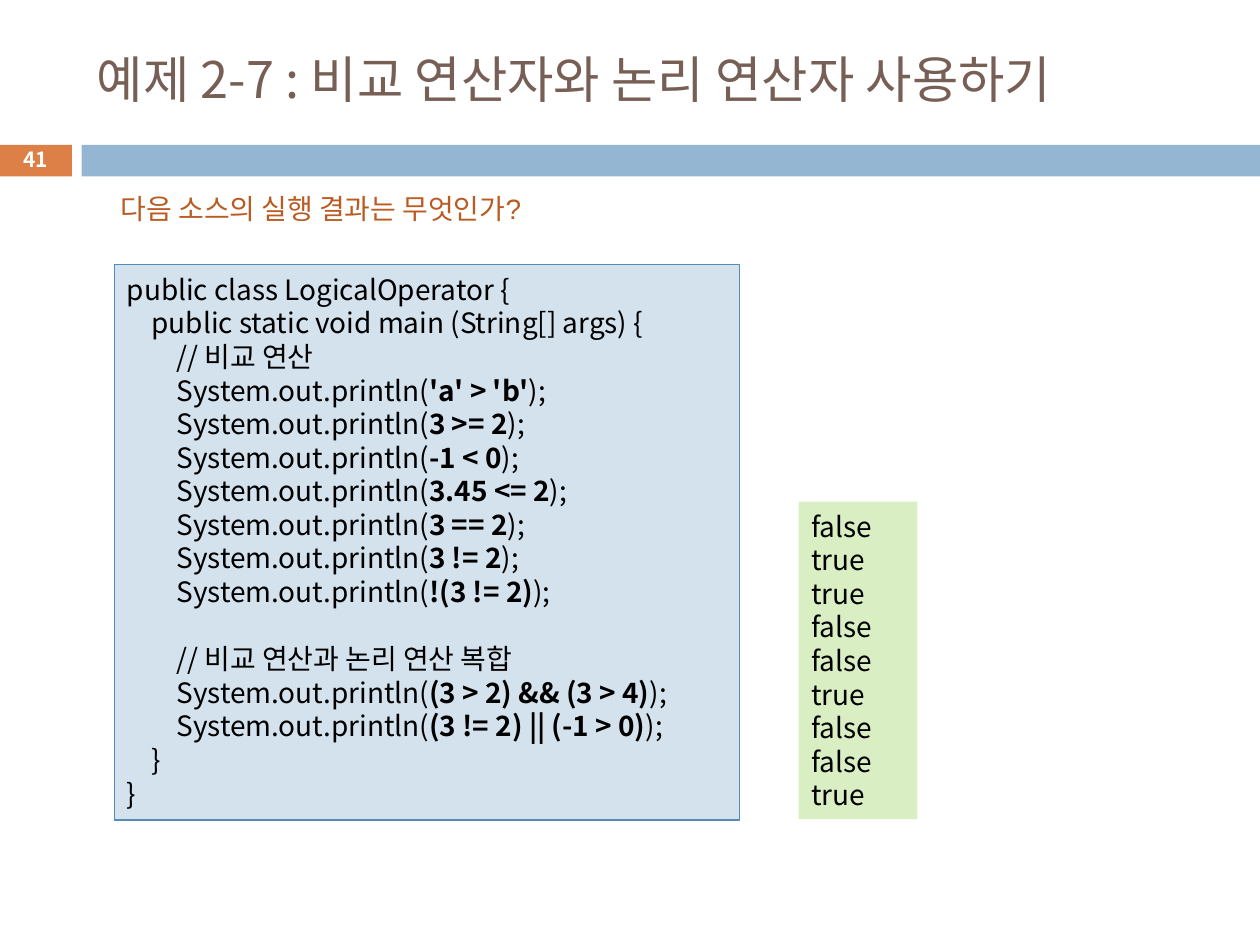
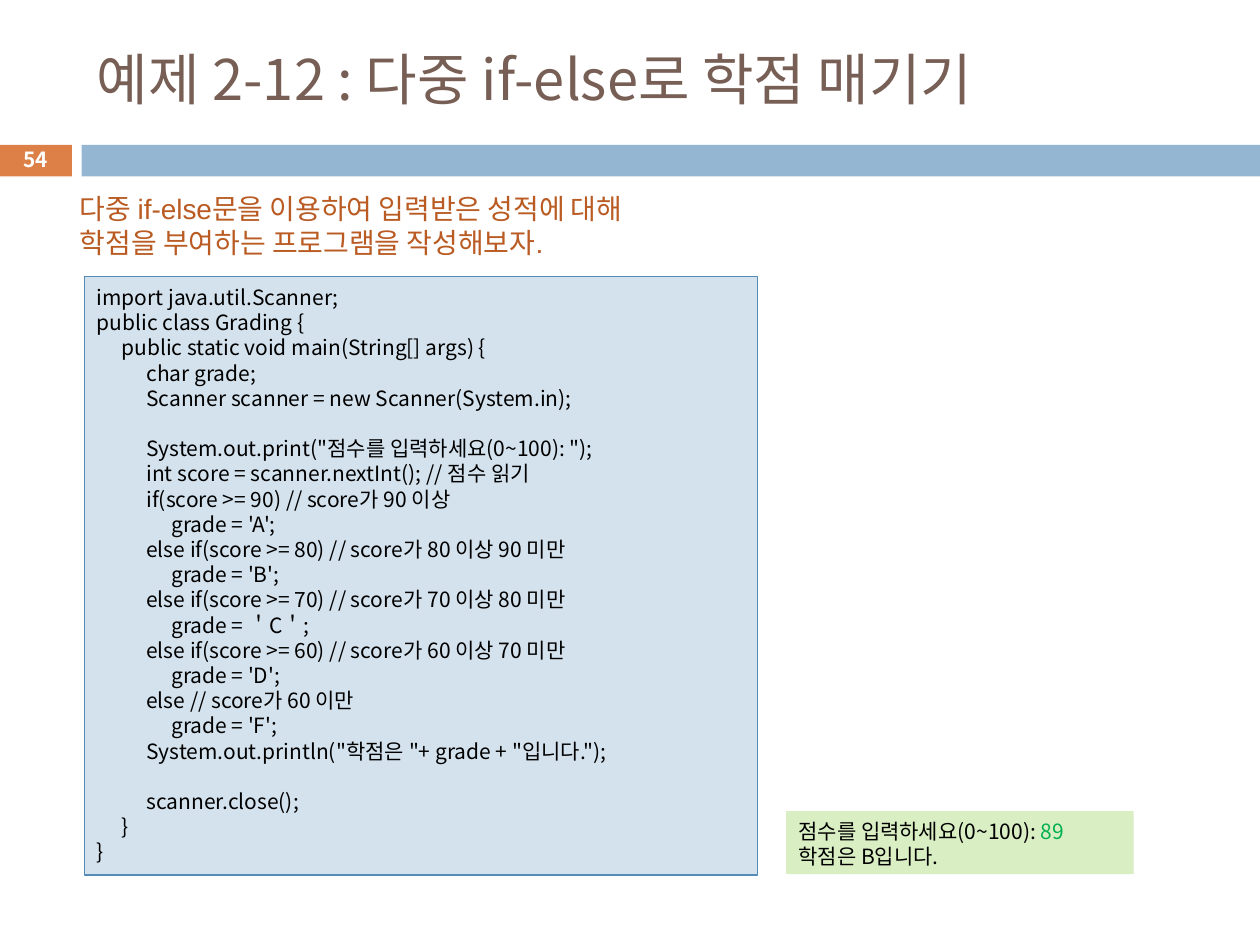
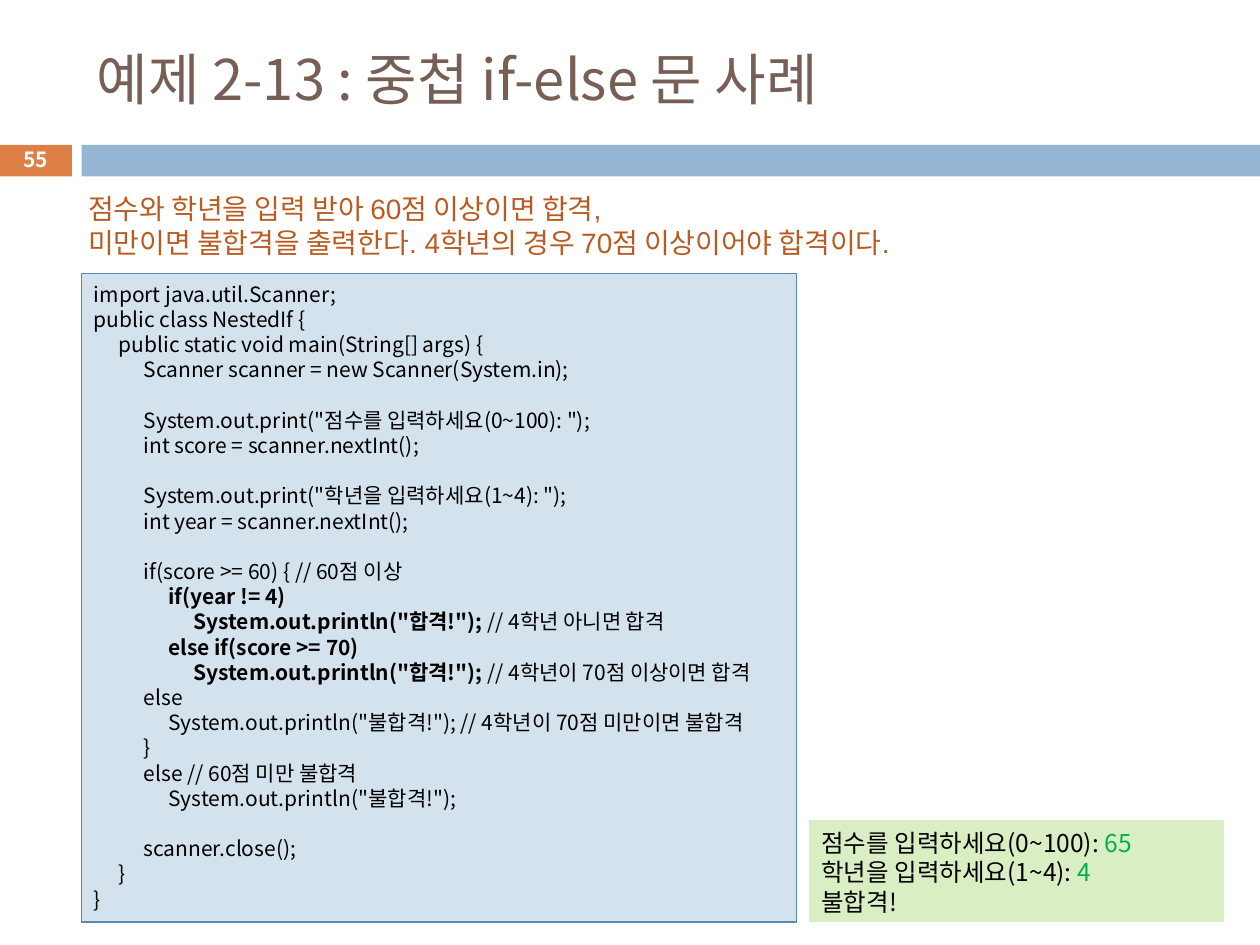
from dataclasses import dataclass

from lxml import etree
from pptx import Presentation
from pptx.dml.color import RGBColor
from pptx.enum import shapes, text
from pptx.oxml import ns
from pptx.util import Pt


@dataclass(frozen=True)
class Theme:
    sans: str = "Noto Sans CJK KR"
    prompt_font: str = "Arial"
    title: str = "775F55"
    prompt: str = "B95B22"
    ink: str = "000000"
    white: str = "FFFFFF"
    typed: str = "00B050"
    number_band: str = "DD8047"
    band: str = "94B6D2"
    code_fill: str = "D4E2ED"
    code_line: str = "558BB8"
    output_fill: str = "DAEEC4"
    prompt_size: float = 16
    number_size: float = 11.9
    line_factor: float = 1.2
    tab_step: float = 14.2


THEME = Theme()

# Code listings: four spaces per level, backquotes around emphasised parts
LOGICAL_CODE = """\
public class LogicalOperator {
    public static void main (String[] args) {
        // 비교 연산
        System.out.println(`'a' > 'b'`);
        System.out.println(`3 >= 2`);
        System.out.println(`-1 < 0`);
        System.out.println(`3.45 <= 2`);
        System.out.println(`3 == 2`);
        System.out.println(`3 != 2`);
        System.out.println(`!(3 != 2)`);

        // 비교 연산과 논리 연산 복합
        System.out.println(`(3 > 2) && (3 > 4)`);
        System.out.println(`(3 != 2) || (-1 > 0)`);
    }
}"""

GRADING_CODE = """\
import java.util.Scanner;
public class Grading {
    public static void main(String[] args) {
        char grade;
        Scanner scanner = new Scanner(System.in);

        System.out.print("점수를 입력하세요(0~100): ");
        int score = scanner.nextInt(); // 점수 읽기
        if(score >= 90) // score가 90 이상
            grade = 'A';
        else if(score >= 80) // score가 80 이상 90 미만
            grade = 'B';
        else if(score >= 70) // score가 70 이상 80 미만
            grade = ＇C＇;
        else if(score >= 60) // score가 60 이상 70 미만
            grade = 'D';
        else // score가 60 이만
            grade = 'F';
        System.out.println("학점은 "+ grade + "입니다.");

        scanner.close();
    }
}"""

NESTED_CODE = """\
import java.util.Scanner;
public class NestedIf {
    public static void main(String[] args) {
        Scanner scanner = new Scanner(System.in);

        System.out.print("점수를 입력하세요(0~100): ");
        int score = scanner.nextInt();

        System.out.print("학년을 입력하세요(1~4): ");
        int year = scanner.nextInt();

        if(score >= 60) { // 60점 이상
            `if(year != 4)`
                `System.out.println("합격!"); `// 4학년 아니면 합격
            `else if(score >= 70)`
                `System.out.println("합격!"); `// 4학년이 70점 이상이면 합격
        else
            System.out.println("불합격!"); // 4학년이 70점 미만이면 불합격
        }
        else // 60점 미만 불합격
            System.out.println("불합격!");

        scanner.close();
    }
}"""

# Boxes are left, top, width, height in points
EXAMPLES = [
    dict(number=41, title="예제 2-7 : 비교 연산자와 논리 연산자 사용하기", title_size=28.8,
         prompt="다음 소스의 실행 결과는 무엇인가?", prompt_box=(62, 106, 271, 27),
         code=LOGICAL_CODE, code_box=(65.4, 151.2, 357.2, 317.4), code_size=16,
         output="false\ntrue\ntrue\nfalse\nfalse\ntrue\nfalse\nfalse\ntrue",
         output_box=(456.4, 286.6, 67.8, 181.6), output_size=16),
    dict(number=54, title="예제 2-12 : 다중 if-else로 학점 매기기", title_size=32,
         prompt="다중 if-else문을 이용하여 입력받은 성적에 대해\n학점을 부여하는 프로그램을 작성해보자.",
         prompt_box=(38.6, 106, 423, 46),
         code=GRADING_CODE, code_box=(48.2, 158.2, 384.6, 341.8), code_size=12,
         output="점수를 입력하세요(0~100): `89`\n학점은 B입니다.",
         output_box=(449.2, 463.5, 198.6, 36), output_size=12),
    dict(number=55, title="예제 2-13 : 중첩 if-else 문 사례", title_size=32,
         prompt="점수와 학년을 입력 받아 60점 이상이면 합격,\n"
                "미만이면 불합격을 출력한다. 4학년의 경우 70점 이상이어야 합격이다.",
         prompt_box=(43.4, 106, 530, 46),
         code=NESTED_CODE, code_box=(46.6, 156.4, 408.4, 370.6), code_size=12,
         output="점수를 입력하세요(0~100): `65`\n학년을 입력하세요(1~4): `4`\n불합격!",
         output_box=(462.2, 468.6, 237.4, 58.2), output_size=14),
]


def apply(target, values):
    for name, value in values.items():
        setattr(target, name, value)


def add_box(slide, box, fill=None, line=None):
    """Add a rectangle, plain unless given a fill or a line."""
    shape = slide.shapes.add_shape(shapes.MSO_SHAPE.RECTANGLE, *map(Pt, box))
    shape.shadow.inherit = False
    if fill:
        shape.fill.solid()
        shape.fill.fore_color.rgb = RGBColor.from_string(fill)
    else:
        shape.fill.background()
    if line:
        shape.line.color.rgb = RGBColor.from_string(line)
        shape.line.width = Pt(0.75)
    else:
        shape.line.fill.background()
    return shape


def add_label(slide, box):
    return slide.shapes.add_textbox(*map(Pt, box))


def add_run(paragraph, content, size, color, font=THEME.sans, bold=False):
    run = paragraph.add_run()
    run.text = content
    apply(run.font, dict(name=font, size=Pt(size), bold=bold))
    run.font.color.rgb = RGBColor.from_string(color)
    east_asian = etree.SubElement(run.font._element, ns.qn("a:ea"))
    east_asian.set("typeface", THEME.sans)


def add_tab_stops(paragraph, count):
    tabs = etree.SubElement(paragraph._p.get_or_add_pPr(), ns.qn("a:tabLst"))
    for level in range(1, count + 1):
        position = str(int(Pt(THEME.tab_step * level)))
        etree.SubElement(tabs, ns.qn("a:tab"), pos=position, algn="l")


def write_lines(shape, content, size, color=THEME.ink, font=THEME.sans, emphasis=None,
                fixed_spacing=True, align=text.PP_ALIGN.LEFT, **frame_values):
    """Write one paragraph a line; backquoted parts take the emphasis format."""
    frame = shape.text_frame
    apply(frame, dict(word_wrap=True, vertical_anchor=text.MSO_ANCHOR.TOP) | frame_values)
    normal = dict(size=size, color=color, font=font)
    for index, line in enumerate(content.split("\n")):
        paragraph = frame.paragraphs[0] if index == 0 else frame.add_paragraph()
        paragraph.alignment = align
        if fixed_spacing:
            paragraph.line_spacing = Pt(size * THEME.line_factor)
        body = line.lstrip(" ")
        depth = (len(line) - len(body)) // 4
        if depth:
            add_tab_stops(paragraph, depth)
            add_run(paragraph, "\t" * depth, **normal)
        for part, piece in enumerate(body.split("`")):
            if piece:
                add_run(paragraph, piece, **(normal | (emphasis or {}) if part % 2 else normal))


def add_header(slide, title, title_size, number):
    # Bands
    add_box(slide, (-0.7, 82.8, 41.8, 18), THEME.number_band)
    add_box(slide, (46.6, 82.8, 673.4, 18), THEME.band)
    # Title and slide number
    middle = dict(fixed_spacing=False, vertical_anchor=text.MSO_ANCHOR.MIDDLE)
    write_lines(add_label(slide, (48.2, 18, 642.2, 53.3)), title, title_size,
                THEME.title, **middle)
    write_lines(add_label(slide, (-0.7, 81.4, 41.8, 19.4)), f"`{number}`",
                THEME.number_size, THEME.white, emphasis=dict(bold=True),
                align=text.PP_ALIGN.CENTER, **middle)


def add_panel(slide, box, content, size, fill, emphasis, line=None):
    write_lines(add_box(slide, box, fill, line), content, size, emphasis=emphasis,
                margin_top=Pt(4.4), margin_right=0)


def add_example(presentation, example):
    slide = presentation.slides.add_slide(presentation.slide_layouts[6])
    add_header(slide, example["title"], example["title_size"], example["number"])
    write_lines(add_label(slide, example["prompt_box"]), example["prompt"],
                THEME.prompt_size, THEME.prompt, THEME.prompt_font)
    add_panel(slide, example["code_box"], example["code"], example["code_size"],
              THEME.code_fill, dict(bold=True), THEME.code_line)
    add_panel(slide, example["output_box"], example["output"], example["output_size"],
              THEME.output_fill, dict(color=THEME.typed))


def main():
    presentation = Presentation()
    apply(presentation, dict(slide_width=Pt(720), slide_height=Pt(540)))
    for example in EXAMPLES:
        add_example(presentation, example)
    presentation.save("out.pptx")


if __name__ == "__main__":
    main()
